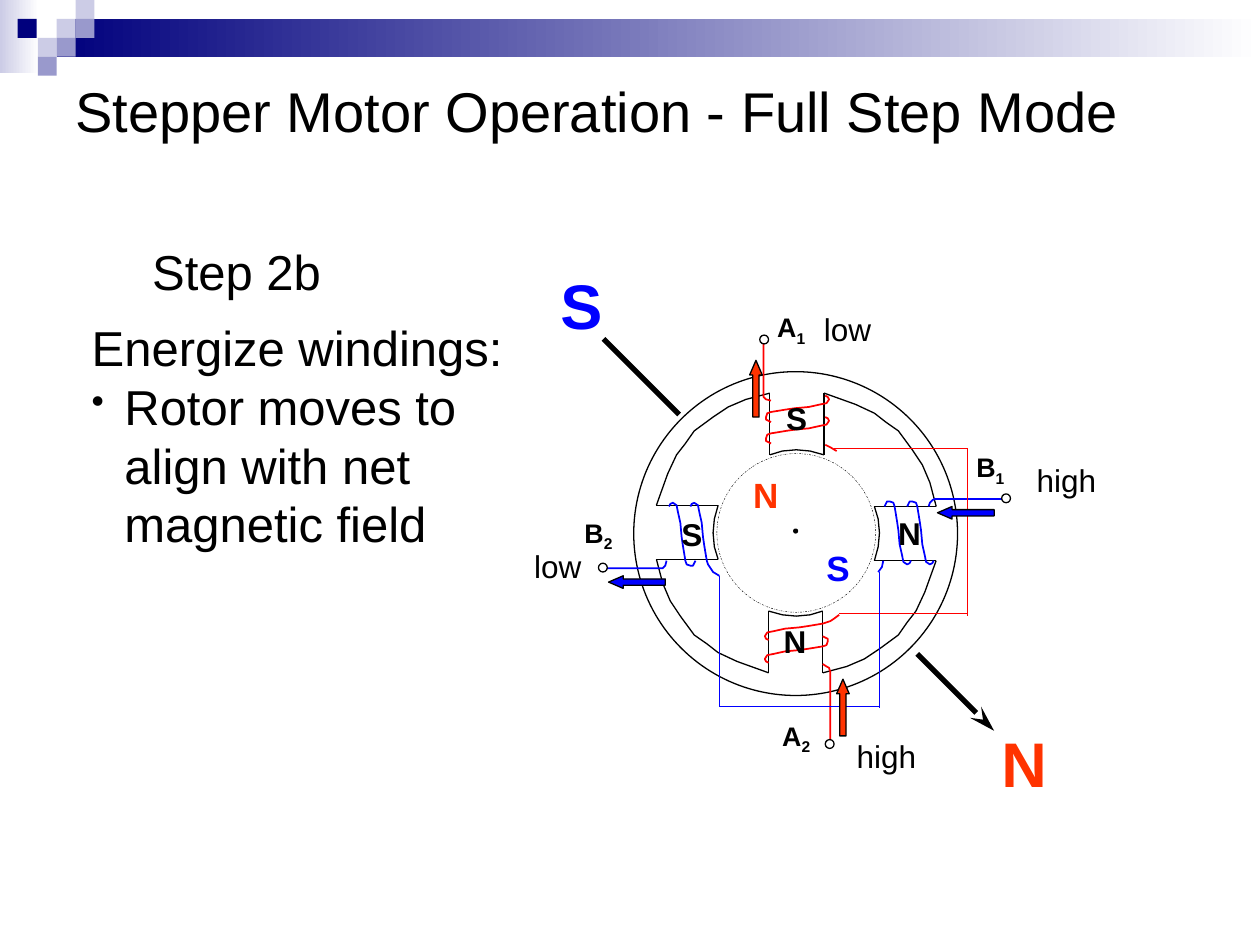
"""Build the stepper motor slide: step 2b of full step mode."""
from lxml import etree
from pptx import Presentation
from pptx.dml.color import RGBColor
from pptx.enum.dml import MSO_LINE
from pptx.enum.shapes import MSO_CONNECTOR, MSO_SHAPE as SHAPE
from pptx.enum.text import MSO_ANCHOR, MSO_AUTO_SIZE
from pptx.oxml.ns import qn
from pptx.util import Inches, Pt

COLORS = {
    "black": "000000", "white": "FFFFFF", "navy": "00007D", "lilac": "CCCCE6",
    "violet": "9999CC", "red": "FF0000", "orange": "FF3300", "blue": "0000FF",
}
RGB = {name: RGBColor.from_string(value) for name, value in COLORS.items()}

prs = Presentation()
prs.slide_width, prs.slide_height = Inches(10), Inches(7.5)
s = prs.slides.add_slide(prs.slide_layouts[6])


def add_preset(kind, box, fill=None, line=None, width=0.75):
    sp = s.shapes.add_shape(kind, *map(Inches, box))
    sp.shadow.inherit = False
    if fill:
        sp.fill.solid()
        sp.fill.fore_color.rgb = RGB[fill]
    else:
        sp.fill.background()
    if line:
        sp.line.color.rgb = RGB[line]
        sp.line.width = Pt(width)
    else:
        sp.line.fill.background()
    return sp


def trace(points, color="black", width=0.75):
    pts = [(Inches(x), Inches(y)) for x, y in points]
    if len(pts) == 2:
        sp = s.shapes.add_connector(MSO_CONNECTOR.STRAIGHT, *pts[0], *pts[1])
    else:
        builder = s.shapes.build_freeform(*pts[0])
        builder.add_line_segments(pts[1:], close=False)
        sp = builder.convert_to_shape()
        sp.fill.background()
    sp.line.color.rgb = RGB[color]
    sp.line.width = Pt(width)
    etree.SubElement(sp._element.spPr, qn("a:effectLst"))
    return sp


for box, start in [((0, 0, 0.31, 0.58), "lilac"), ((0.45, 0.15, 9.55, 0.3), "navy")]:
    sp = add_preset(SHAPE.RECTANGLE, box, start)
    sp.fill.gradient()
    sp.fill.gradient_angle = 0
    for stop, name in zip(sp.fill.gradient_stops, (start, "white")):
        stop.color.rgb = RGB[name]

for x, y, fill in [
    (0.45, 0.15, "lilac"), (0.6, 0, "lilac"), (0.6, 0.15, "violet"), (0.3, 0.3, "lilac"),
    (0.14, 0.15, "navy"), (0.45, 0.3, "violet"), (0.3, 0.45, "violet"),
]:
    add_preset(SHAPE.RECTANGLE, (x, y, 0.15, 0.15), fill)

add_preset(SHAPE.OVAL, (5.03, 2.95, 2.57, 2.57), "white", "black")

QUARTERS = [(1, 0), (0, 1), (-1, 0), (0, -1)]
CX, CY = 6.32, 4.23
pole_and_rim = [
    [(-0.21, -1.11), (-0.21, -0.62)],
    [(0.22, -1.11), (0.22, -0.62)],
    [(-0.21, -0.62), (-0.11, -0.65), (0, -0.66), (0.11, -0.65), (0.22, -0.62)],
    [(0.22, -1.11), (0.47, -1.02), (0.62, -0.95), (0.71, -0.88), (0.81, -0.81),
     (0.92, -0.66), (1, -0.54), (1.06, -0.4), (1.11, -0.21)],
]
for c, sn in QUARTERS:
    for path in pole_and_rim:
        trace([(CX + x * c - y * sn, CY + x * sn + y * c) for x, y in path])

LOOP = [
    (0, 0), (0.04, 0.02), (0.04, 0.04), (0.03, 0.07), (0, 0.08), (-0.12, 0.1), (-0.19, 0.11),
    (-0.3, 0.12), (-0.39, 0.14), (-0.44, 0.15), (-0.46, 0.18), (-0.45, 0.2), (-0.43, 0.21),
]
left_lead = [(5.71, 4.57), (5.66, 4.54), (5.64, 4.51), (5.62, 4.48)]
bottom_lead = [(6.66, 4.88), (6.62, 4.91), (6.59, 4.93), (6.56, 4.94)]
for x0, y0, quarter, color, lead in [
    (7.2, 4.02, 3, "blue", []), (7.02, 4.02, 3, "blue", []),
    (6.53, 4.87, 0, "red", bottom_lead), (6.53, 5.05, 0, "red", []),
    (6.12, 3.35, 2, "red", []), (6.12, 3.52, 2, "red", []),
    (5.69, 4.45, 1, "blue", left_lead), (5.52, 4.45, 1, "blue", []),
]:
    c, sn = QUARTERS[quarter]
    turns = [(x0 + x * c - y * sn, y0 + x * sn + y * c) for x, y in LOOP[len(lead):]]
    trace(lead + turns, color, 1)

for color, path in [
    ("blue", [(7.96, 3.96), (7.42, 3.96), (7.4, 3.97), (7.38, 3.99), (7.37, 4.02)]),
    ("blue", [(7.01, 4.45), (7, 4.5), (6.97, 4.54)]),
    ("red", [(6.59, 5.94), (6.59, 5.33), (6.58, 5.3), (6.56, 5.29), (6.53, 5.27)]),
    ("red", [(6.06, 2.71), (6.06, 3.15), (6.08, 3.17), (6.12, 3.18)]),
    ("red", [(6.55, 3.53), (6.59, 3.55), (6.64, 3.58)]),
    ("blue", [(4.8, 4.51), (5.26, 4.51), (5.28, 4.49), (5.29, 4.45)]),
]:
    trace(path, color, 1)

for color, start, end in [
    ("red", (6.62, 3.56), (7.68, 3.56)), ("red", (7.68, 3.56), (7.68, 4.89)),
    ("red", (6.66, 4.87), (7.68, 4.87)), ("blue", (6.98, 4.54), (6.98, 5.62)),
    ("blue", (6.98, 5.61), (5.71, 5.61)), ("blue", (5.71, 5.61), (5.71, 4.57)),
]:
    trace([start, end], color)

for x, y in [(6.03, 2.66), (7.95, 3.92), (6.55, 5.87), (4.75, 4.47)]:
    add_preset(SHAPE.OVAL, (x, y, 0.07, 0.07), "white", "black")

add_preset(SHAPE.OVAL, (6.3, 4.2, 0.03, 0.03), "black", "black")
rotor = add_preset(SHAPE.OVAL, (5.69, 3.6, 1.26, 1.26), None, "black", 0.25)
rotor.line.dash_style = MSO_LINE.DASH_DOT

for kind, box, fill in [
    (SHAPE.UP_ARROW, (5.95, 2.86, 0.1, 0.45), "orange"),
    (SHAPE.UP_ARROW, (6.64, 5.39, 0.1, 0.45), "orange"),
    (SHAPE.LEFT_ARROW, (7.44, 4.02, 0.45, 0.1), "blue"),
    (SHAPE.LEFT_ARROW, (4.83, 4.57, 0.45, 0.1), "blue"),
]:
    sp = add_preset(kind, box, fill, "black")
    sp.adjustments[0], sp.adjustments[1] = 0.5, 1.16

field = trace([(7.28, 5.19), (7.89, 5.8)], "black", 3)
etree.SubElement(field.line._get_or_add_ln(), qn("a:tailEnd"), type="stealth", len="lg")
trace([(4.79, 2.69), (5.39, 3.29)], "black", 3)

TERMINAL = {"size": Pt(15.3), "bold": True}
POLE = {"size": Pt(18), "bold": True}
LEVEL = {"size": Pt(18), "bold": False}
FIELD = {"size": Pt(36), "bold": True}
ROTOR = {"size": Pt(20), "bold": True}
BODY = {"size": Pt(28), "bold": False}
TITLE = {"size": Pt(32), "bold": False}
for lines, box, fmt, color, wrap in [
    (["A1"], (6.07, 2.42, 0.58, 0.41), TERMINAL, "black", True),
    (["B1"], (7.65, 3.53, 0.58, 0.41), TERMINAL, "black", True),
    (["A2"], (6.11, 5.66, 0.58, 0.41), TERMINAL, "black", True),
    (["B2"], (4.54, 4.05, 0.58, 0.41), TERMINAL, "black", True),
    (["N"], (6.12, 4.89, 0.58, 0.41), POLE, "black", True),
    (["S"], (6.14, 3.12, 0.58, 0.41), POLE, "black", True),
    (["N"], (7.03, 4.03, 0.58, 0.41), POLE, "black", True),
    (["S"], (5.31, 4.04, 0.58, 0.41), POLE, "black", True),
    (["Stepper Motor Operation - Full Step Mode"], (0.5, 0.5, 9, 0.75), TITLE, "black", True),
    (["high"], (6.7, 5.8, 0.67, 0.4), LEVEL, "black", False),
    (["low"], (6.44, 2.41, 0.6, 0.4), LEVEL, "black", False),
    (["low"], (4.14, 4.29, 0.6, 0.4), LEVEL, "black", False),
    (["high"], (8.13, 3.61, 0.67, 0.4), LEVEL, "black", False),
    (["N"], (7.85, 5.7, 0.56, 0.7), FIELD, "orange", False),
    (["S"], (4.35, 2.07, 0.53, 0.7), FIELD, "blue", False),
    (["Step 2b"], (1.11, 1.87, 1.54, 0.57), BODY, "black", False),
    (["N"], (5.88, 3.71, 0.4, 0.44), ROTOR, "orange", False),
    (["S"], (6.46, 4.29, 0.38, 0.44), ROTOR, "blue", False),
    (["Energize windings:", "Rotor moves to align with net magnetic field"],
     (0.63, 2.47, 3.47, 1.97), BODY, "black", True),
]:
    tf = s.shapes.add_textbox(*map(Inches, box)).text_frame
    tf.word_wrap = wrap
    if not wrap:
        tf.auto_size = MSO_AUTO_SIZE.SHAPE_TO_FIT_TEXT
    if fmt is TITLE:
        tf.vertical_anchor = MSO_ANCHOR.MIDDLE
    for i, text in enumerate(lines):
        p = tf.add_paragraph() if i else tf.paragraphs[0]
        if len(lines) > 1:
            pPr = p._p.get_or_add_pPr()
            pPr.set("marL", str(Inches(0.26)))
            pPr.set("indent", str(Inches(-0.26)))
            if i:
                etree.SubElement(pPr, qn("a:buSzPct"), val="75000")
                etree.SubElement(pPr, qn("a:buChar"), char="•")
        for part in text if fmt is TERMINAL else [text]:
            r = p.add_run()
            r.text = part
            for name, value in {"name": "Arial", **fmt}.items():
                setattr(r.font, name, value)
            r.font.color.rgb = RGB[color]
            if part.isdigit():
                r.font._element.set("baseline", "-25000")

prs.save("out.pptx")
